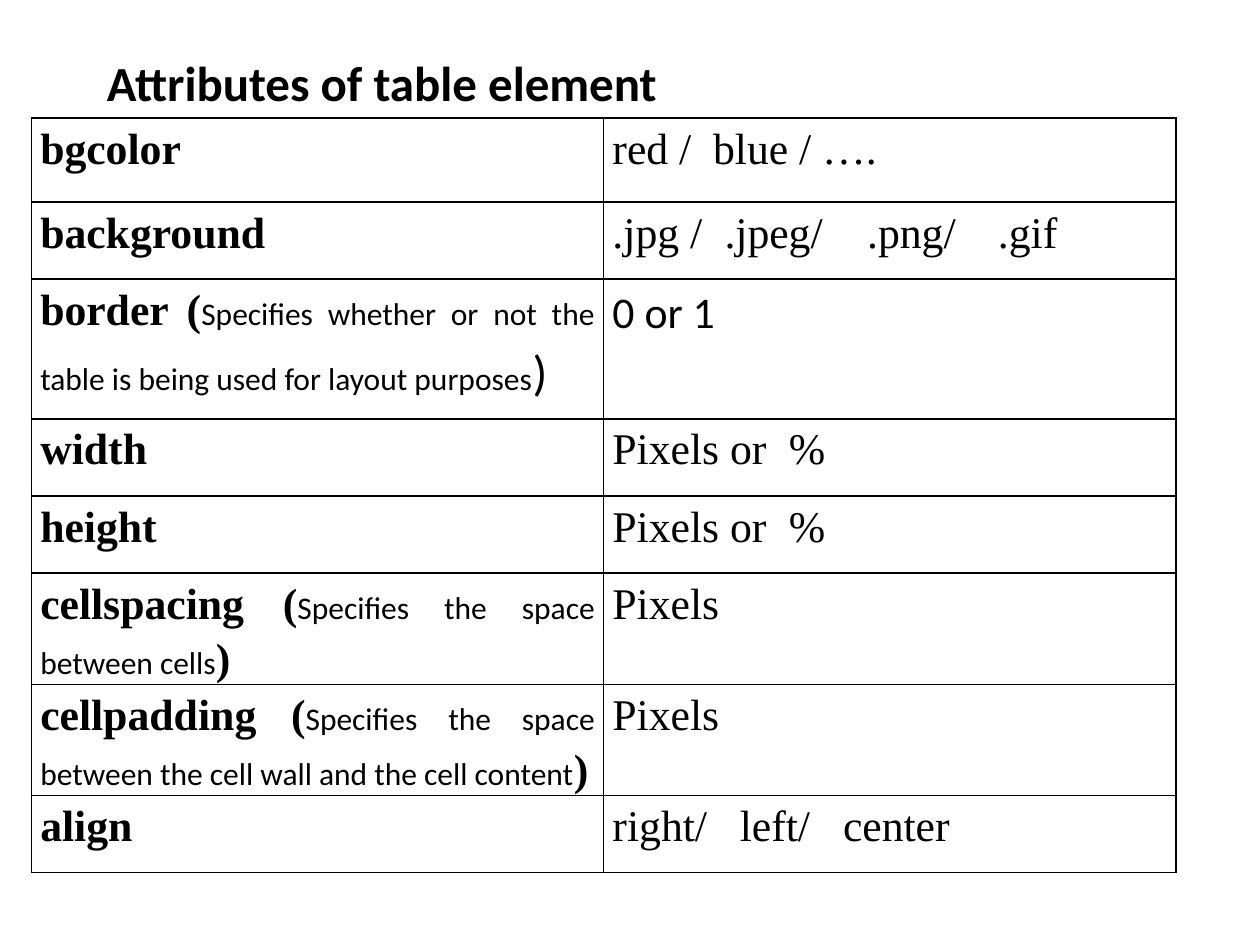
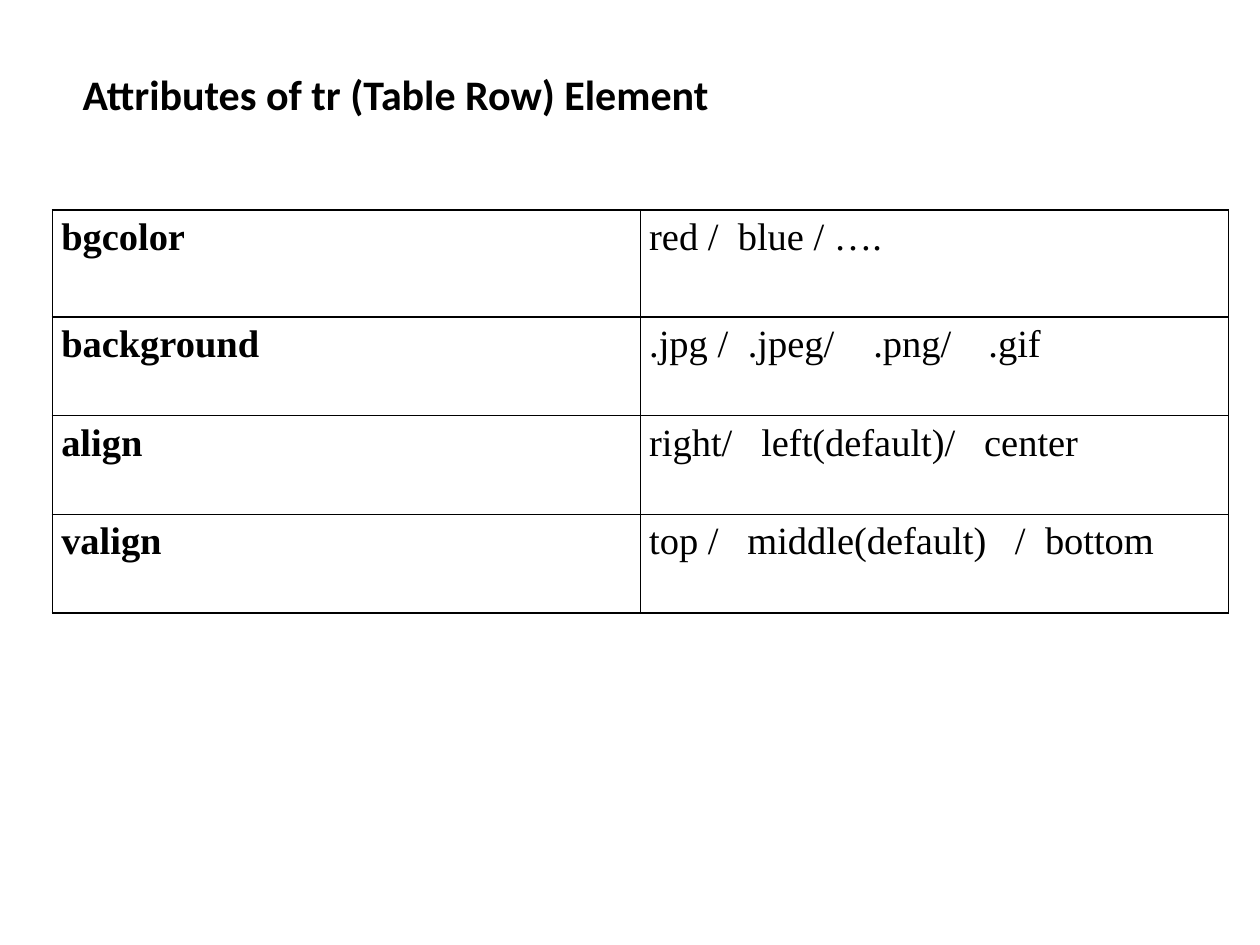
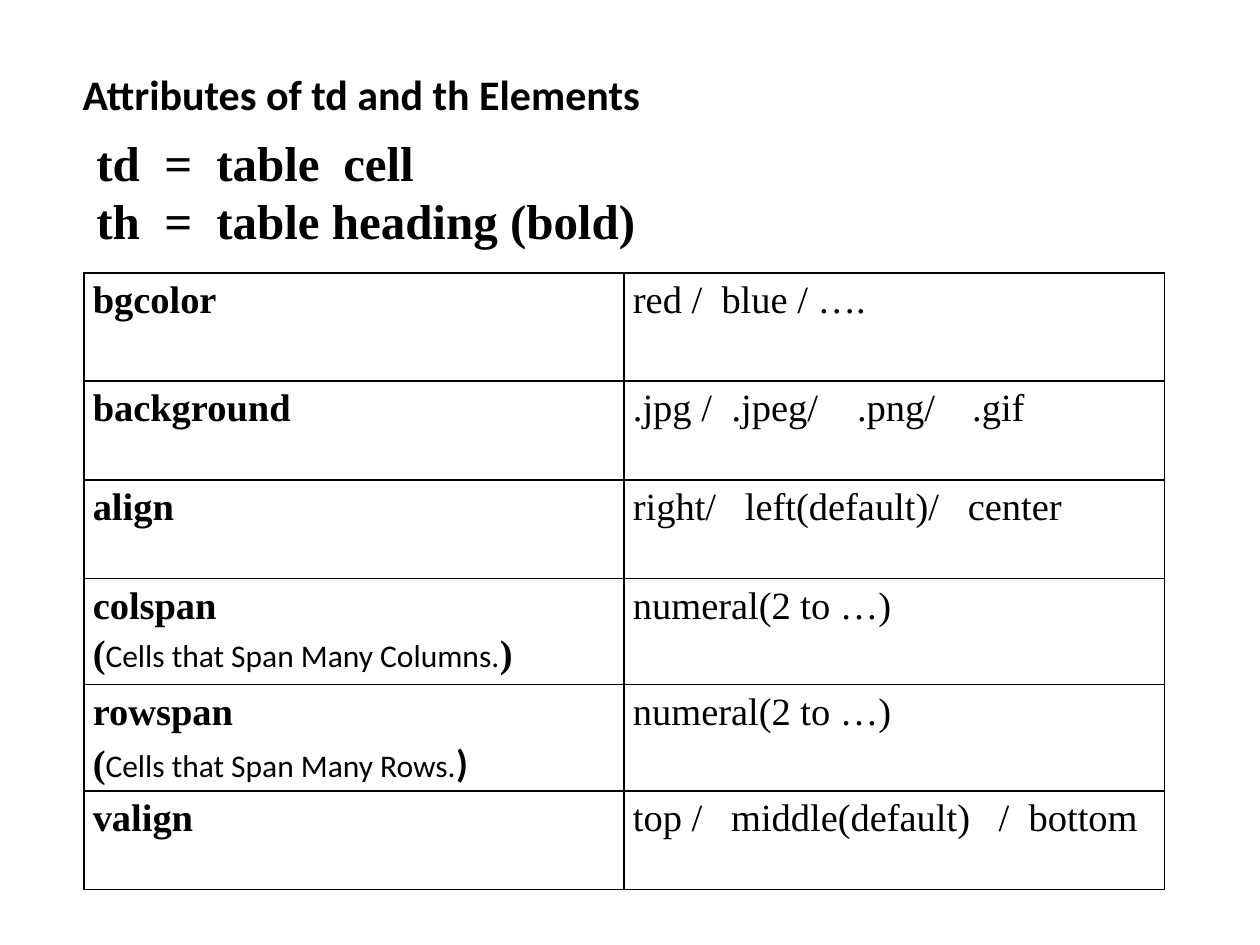
from dataclasses import dataclass
from itertools import product

from lxml import etree
from pptx import Presentation
from pptx.dml.color import RGBColor
from pptx.enum.text import MSO_AUTO_SIZE, PP_ALIGN
from pptx.oxml.ns import qn
from pptx.util import Emu, Inches, Pt

JUSTIFY = PP_ALIGN.JUSTIFY
GROW = MSO_AUTO_SIZE.SHAPE_TO_FIT_TEXT

SERIF, SANS = "Times New Roman", "Calibri"
INK = "000000"
GRID_COLUMNS = 120
NOTE_SIZE = 18


@dataclass
class Run:
    """Text with its own look; a size of 0 means that of the table or box."""
    text: str
    font: str = SERIF
    bold: bool = True
    size: float = 0


@dataclass
class Para:
    """Runs and the tab stops between them, in multiples of the text size."""
    runs: list
    stops: tuple = ()


def color(hex_text):
    return RGBColor.from_string(hex_text)


def name(text):
    return [Para([Run(text)])]


def value(text, *stops):
    return [Para([Run(text, bold=False)], stops)]


def note(text, opening="(", closing=Run(")")):
    return Para([Run(opening), Run(text, SANS, False, NOTE_SIZE), closing])


class Deck:
    def __init__(self):
        self.prs = Presentation()
        self.prs.slide_width, self.prs.slide_height = Inches(10), Inches(7.5)
        self.unit = self.prs.slide_width / GRID_COLUMNS

    def grid(self, *lengths):
        return [Emu(round(length * self.unit)) for length in lengths]

    def new_slide(self):
        self.s = self.prs.slides.add_slide(self.prs.slide_layouts[6])

    def fill_text(self, tf, paras, size, align=None, spacing=None):
        for i, para in enumerate(paras):
            p = tf.add_paragraph() if i else tf.paragraphs[0]
            if para.stops:
                tabs = etree.SubElement(p._p.get_or_add_pPr(), qn("a:tabLst"))
                for stop in para.stops:
                    etree.SubElement(tabs, qn("a:tab"), pos=str(Pt(stop * size)), algn="l")
            p.alignment, p.line_spacing = align, spacing
            for run in para.runs:
                r = p.add_run()
                r.text = run.text
                r.font.name, r.font.bold = run.font, run.bold
                r.font.size = Pt(run.size or size)
                r.font.color.rgb = color(INK)

    def text(self, box, paras, size):
        tf = self.s.shapes.add_textbox(*self.grid(*box)).text_frame
        tf.word_wrap, tf.auto_size = True, GROW
        self.fill_text(tf, paras, size)

    def title(self, text, box=(6.7, 5.9, 63.4, 6), size=24):
        self.text(box, [Para([Run(text, SANS)])], size)

    def border(self, cell):
        tc_pr = cell._tc.get_or_add_tcPr()
        for side in ("lnL", "lnR", "lnT", "lnB"):
            line = etree.SubElement(tc_pr, qn(f"a:{side}"), w=str(Pt(1)))
            fill = etree.SubElement(line, qn("a:solidFill"))
            etree.SubElement(fill, qn("a:srgbClr"), val=INK)

    def table(self, left, top, column, heights, rows, size):
        """Draw rows of (name, value) in two columns of equal width."""
        box = self.grid(left, top, 2 * column, sum(heights))
        table = self.s.shapes.add_table(len(rows), 2, *box).table
        table.first_row = table.horz_banding = False
        for row, height in zip(table.rows, self.grid(*heights)):
            row.height = height
        for i, j in product(range(len(rows)), range(2)):
            cell = table.cell(i, j)
            cell.margin_left = cell.margin_right = Inches(0.07)
            cell.margin_top = cell.margin_bottom = 0
            self.border(cell)
            cell.fill.background()
            self.fill_text(cell.text_frame, rows[i][j], size, JUSTIFY, 1.15)


BGCOLOR = (name("bgcolor"), value("red /\tblue / ….", 2.3))
BACKGROUND = (name("background"),
              value(".jpg /\t.jpeg/\t.png/\t.gif", 2.56, 5.82, 8.81))
ALIGN = (name("align"), value("right/\tleft(default)/\tcenter", 2.91, 8.7))
VALIGN = (name("valign"),
          value("top /\tmiddle(default)\t/\tbottom", 2.55, 9.5, 10.28))
PIXELS_OR_PERCENT = value("Pixels or\t%", 4.03)
NUMERAL = value("numeral(2 to …)")


def table_element(deck):
    deck.new_slide()
    border_note = note("Specifies whether or not the table is being used for layout purposes",
                       "border (", Run(")", SANS, False, 28))
    rows = [
        BGCOLOR,
        BACKGROUND,
        ([border_note], [Para([Run("0 or 1", SANS, False)])]),
        (name("width"), PIXELS_OR_PERCENT),
        (name("height"), PIXELS_OR_PERCENT),
        ([note("Specifies the space between cells", "cellspacing (")], value("Pixels")),
        ([note("Specifies the space between the cell wall and the cell content",
               "cellpadding (")], value("Pixels")),
        (name("align"), value("right/\tleft/\tcenter", 2.91, 5.27)),
    ]
    deck.table(3, 11.25, 54.5, [8, 7.35, 13.3] + [7.35] * 5, rows, 25)
    deck.title("Attributes of table element", (9, 4.4, 62, 6.8), 28)


def row_element(deck):
    deck.new_slide()
    deck.table(5, 20, 56, [10.2] + [9.4] * 3, [BGCOLOR, BACKGROUND, ALIGN, VALIGN], 22)
    deck.title("Attributes of tr (Table Row) Element")


def cell_elements(deck):
    deck.new_slide()
    meanings = [Para([Run("td\t=\ttable\tcell")], (1.39, 2.45, 5.04)),
                Para([Run("th\t=\ttable heading (bold)")], (1.39, 2.45))]
    deck.text((8, 12, 96, 12.5), meanings, 28)
    rows = [
        BGCOLOR,
        BACKGROUND,
        ALIGN,
        (name("colspan") + [note("Cells that Span Many Columns.")], NUMERAL),
        (name("rowspan") + [note("Cells that Span Many Rows.", closing=Run(")", SANS))],
         NUMERAL),
        VALIGN,
    ]
    deck.table(8, 26, 51.45, [10.3] + [9.4] * 3 + [10.1, 9.4], rows, 22)
    deck.title("Attributes of td and th Elements")


def main():
    deck = Deck()
    table_element(deck)
    row_element(deck)
    cell_elements(deck)
    deck.prs.save("out.pptx")


if __name__ == "__main__":
    main()
